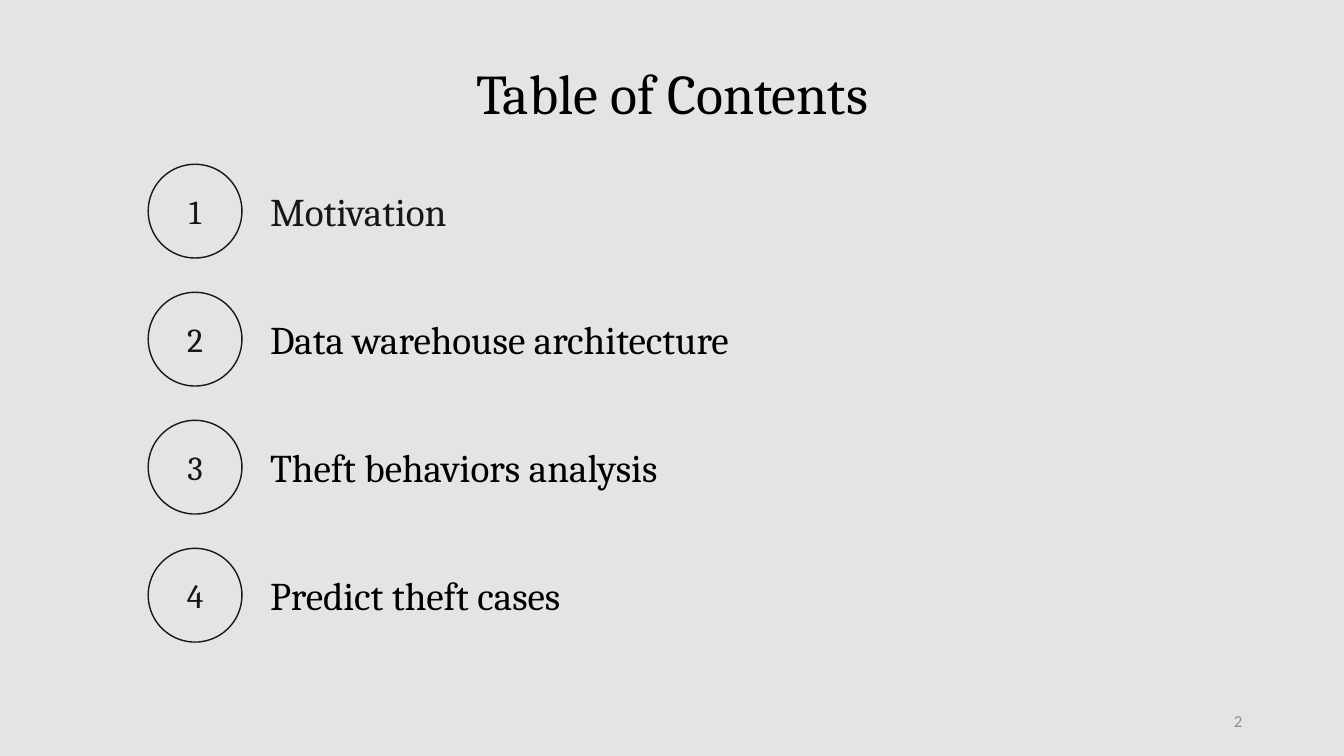
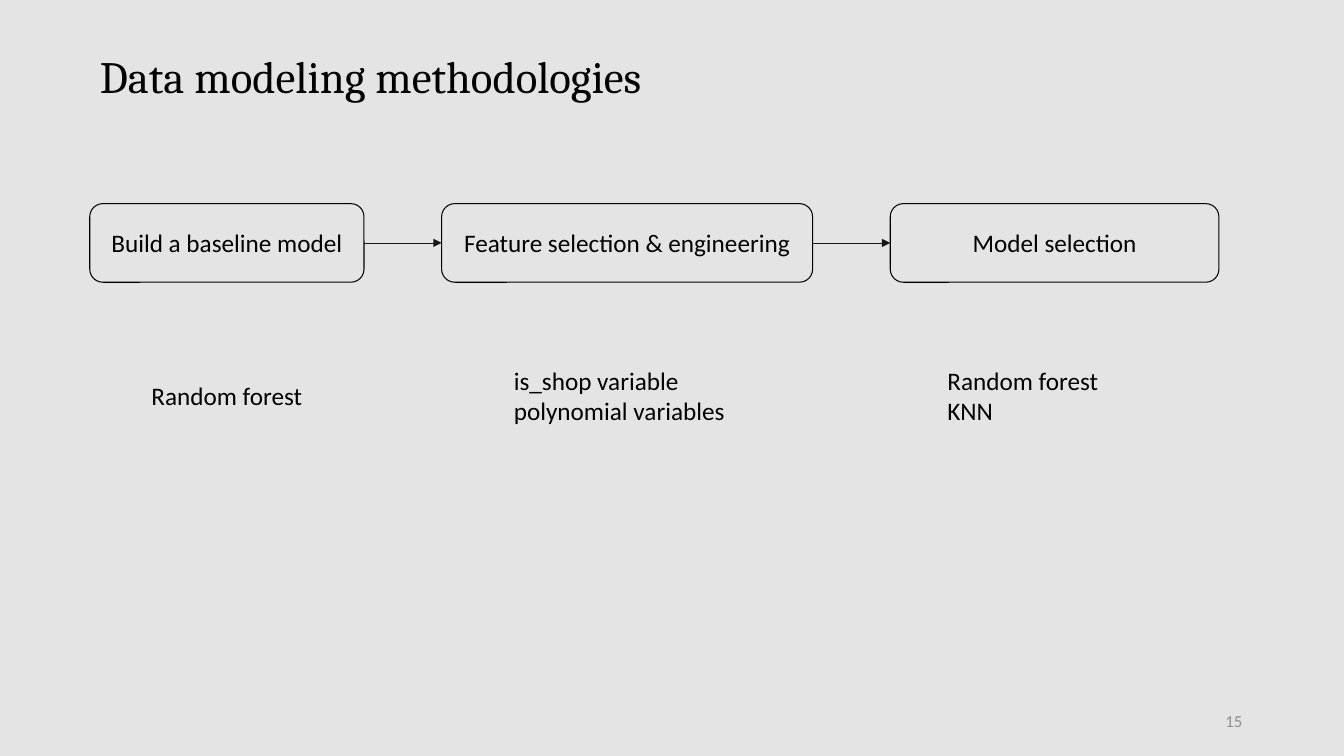
from lxml import etree
from pptx import Presentation
from pptx.dml.color import RGBColor
from pptx.enum.shapes import MSO_CONNECTOR, MSO_SHAPE
from pptx.enum.text import MSO_ANCHOR, MSO_AUTO_SIZE, PP_ALIGN
from pptx.oxml.ns import qn
from pptx.util import Inches, Pt

LEFT, CENTER, RIGHT = PP_ALIGN.LEFT, PP_ALIGN.CENTER, PP_ALIGN.RIGHT
TOP, MIDDLE = MSO_ANCHOR.TOP, MSO_ANCHOR.MIDDLE
NO_AUTOFIT = MSO_AUTO_SIZE.NONE
OVAL, ROUNDED = MSO_SHAPE.OVAL, MSO_SHAPE.ROUNDED_RECTANGLE
STRAIGHT = MSO_CONNECTOR.STRAIGHT
SIDE_LEFT, SIDE_RIGHT = 1, 3

SERIF, SANS = "Cambria", "Calibri"
BLACK, INK, GREY, PAPER = "000000", "181717", "8C8C8C", "E4E4E4"
TITLE_ONLY = 5


def color(hex_value):
    return RGBColor.from_string(hex_value)


def write(shape, text, size=18, font=SANS, ink=BLACK, align=LEFT, anchor=TOP):
    frame = shape.text_frame
    frame.word_wrap = True
    frame.auto_size = NO_AUTOFIT
    frame.vertical_anchor = anchor
    frame.text = text
    for paragraph in frame.paragraphs:
        paragraph.alignment = align
        paragraph.font.size = Pt(size)
        paragraph.font.name = font
        paragraph.font.color.rgb = color(ink)


class Deck:
    def __init__(self):
        self.presentation = Presentation()
        self.presentation.slide_width = Inches(13.33)
        self.presentation.slide_height = Inches(7.5)
        fill = self.presentation.slide_master.background.fill
        fill.solid()
        fill.fore_color.rgb = color(PAPER)
        self.slide = None

    def add_slide(self, title, number, left, top, width, height, **style):
        layout = self.presentation.slide_layouts[TITLE_ONLY]
        self.slide = self.presentation.slides.add_slide(layout)
        heading = self.slide.shapes.title
        heading.left, heading.top = Inches(left), Inches(top)
        heading.width, heading.height = Inches(width), Inches(height)
        write(heading, title, font=SERIF, **style)
        self.text(number, 9.42, 6.95, 3, 0.4, size=12, ink=GREY,
                  align=RIGHT, anchor=MIDDLE)

    def text(self, text, left, top, width, height, **style):
        label = self.slide.shapes.add_textbox(
            Inches(left), Inches(top), Inches(width), Inches(height))
        write(label, text, **style)

    def shape(self, kind, text, left, top, width, height,
              line=None, weight=0.75, align=CENTER, **style):
        shape = self.slide.shapes.add_shape(
            kind, Inches(left), Inches(top), Inches(width), Inches(height))
        shape.shadow.inherit = False
        shape.fill.background()
        if line:
            shape.line.color.rgb = color(line)
            shape.line.width = Pt(weight)
        else:
            shape.line.fill.background()
        write(shape, text, align=align, anchor=MIDDLE, **style)
        return shape

    def arrow(self, source, target):
        arrow = self.slide.shapes.add_connector(STRAIGHT, 0, 0, 0, 0)
        arrow.begin_connect(source, SIDE_RIGHT)
        arrow.end_connect(target, SIDE_LEFT)
        arrow.line.color.rgb = color(INK)
        arrow.line.width = Pt(0.5)
        etree.SubElement(arrow.line._get_or_add_ln(), qn("a:tailEnd"), type="triangle")
        etree.SubElement(arrow._element.spPr, qn("a:effectLst"))


def contents_slide(deck):
    deck.add_slide("Table of Contents", "2", 0, 0.53, 13.33, 0.77,
                   size=40, align=CENTER)
    topics = [
        ("Motivation", INK),
        ("Data warehouse architecture", BLACK),
        ("Theft behaviors analysis", BLACK),
        ("Predict theft cases", BLACK),
    ]
    for index, (topic, ink) in enumerate(topics):
        top = 1.63 + 1.27 * index
        deck.shape(OVAL, str(index + 1), 1.47, top, 0.93, 0.93,
                   line=INK, weight=1, size=24, font=SERIF, ink=INK)
        deck.text(topic, 2.58, top + 0.18, 8.03, 0.57,
                  size=28, font=SERIF, ink=ink)


def methodologies_slide(deck):
    deck.add_slide("Data modeling methodologies", "15", 0.89, 0.43, 7.58, 0.64,
                   size=32)
    steps = [
        ("Build a baseline model", 2.72, "Random forest", 0.89, CENTER),
        ("Feature selection & engineering", 3.68,
         "is_shop variable\npolynomial variables", 4.96, LEFT),
        ("Model selection", 3.26, "Random forest\nKNN", 9.26, LEFT),
    ]
    gap, left, previous = 0.77, 0.89, None
    for step, width, details, details_left, align in steps:
        current = deck.shape(ROUNDED, step, left, 2.02, width, 0.78, line=BLACK)
        deck.shape(ROUNDED, details, details_left, 3.53, 2.72, 0.78, align=align)
        if previous:
            deck.arrow(previous, current)
        previous = current
        left += width + gap


def main():
    deck = Deck()
    contents_slide(deck)
    methodologies_slide(deck)
    deck.presentation.save("out.pptx")


if __name__ == "__main__":
    main()
